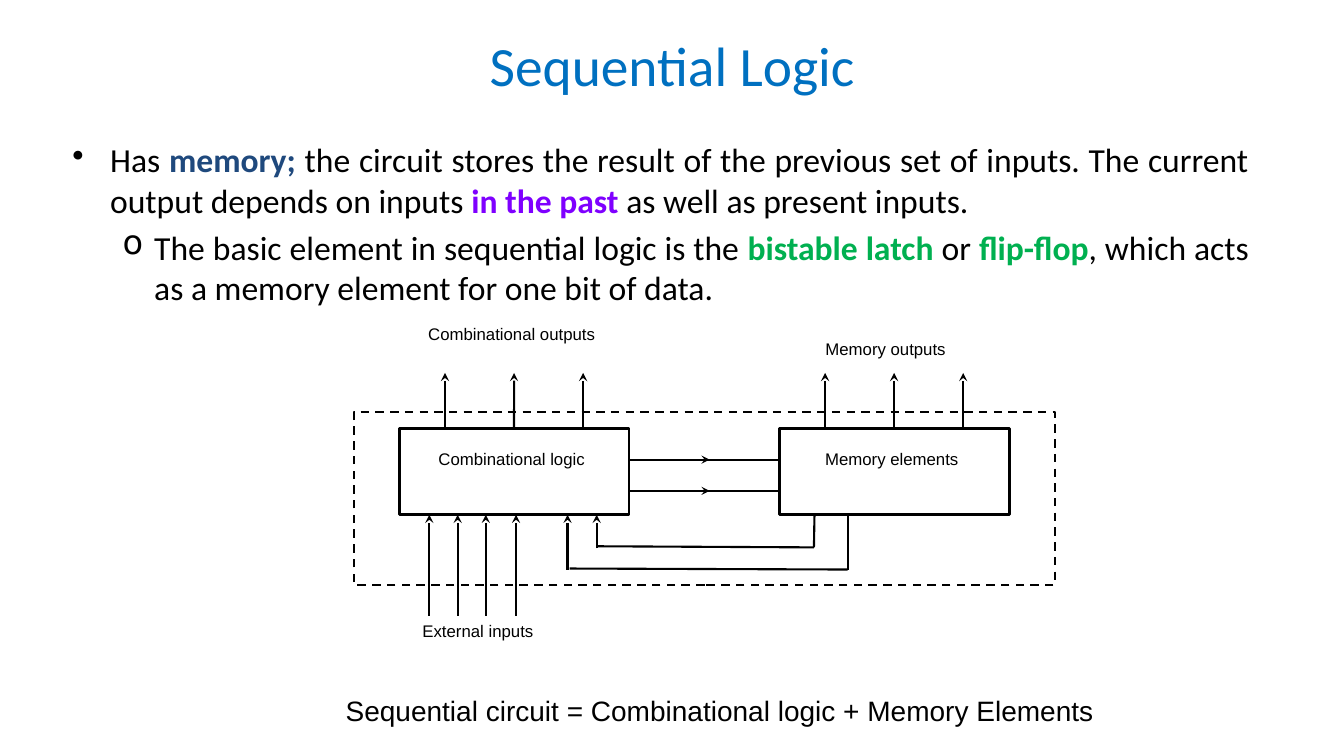
from dataclasses import dataclass

from lxml import etree
from pptx import Presentation
from pptx.dml.color import RGBColor
from pptx.enum.dml import MSO_LINE
from pptx.enum.shapes import MSO_CONNECTOR, MSO_SHAPE
from pptx.enum.text import MSO_ANCHOR, PP_ALIGN
from pptx.oxml.ns import qn
from pptx.util import Pt

STRAIGHT = MSO_CONNECTOR.STRAIGHT
RECTANGLE = MSO_SHAPE.RECTANGLE
DASH = MSO_LINE.DASH
TOP, MIDDLE = MSO_ANCHOR.TOP, MSO_ANCHOR.MIDDLE
LEFT, CENTER, JUSTIFY = PP_ALIGN.LEFT, PP_ALIGN.CENTER, PP_ALIGN.JUSTIFY
TOP_SITE = 0


@dataclass(frozen=True)
class Theme:
    ink: str = "000000"
    title: str = "0070C0"
    memory: str = "1F497D"
    past: str = "7F00FF"
    element: str = "00B050"
    body_font: str = "Calibri"
    diagram_font: str = "Arial"
    title_size: float = 39.6
    body_size: float = 24
    label_size: float = 12
    formula_size: float = 20
    box_line: float = 2
    wire_line: float = 1.5


THEME = Theme()

# Content: a span is (text, colour); coloured spans are bold.
TITLE = "Sequential Logic"
BULLETS = [
    ("•", 27, -27, [
        ("Has ", None),
        ("memory; ", THEME.memory),
        ("the circuit stores the result of the previous set of inputs. "
         "The current output depends on inputs ", None),
        ("in the past ", THEME.past),
        ("as well as present inputs. ", None),
    ]),
    ("o", 58.5, -22.5, [
        ("The basic element in sequential logic is the ", None),
        ("bistable latch ", THEME.element),
        ("or ", None),
        ("flip-flop", THEME.element),
        (", which acts as a memory element for one bit of data.", None),
    ]),
]
FORMULA = "Sequential circuit = Combinational logic + Memory Elements"
LABELS = [  # text, left, top, width, height
    ("Combinational logic ", 285.1, 316.8, 164.2, 43.9),
    ("Memory elements ", 556.6, 316.8, 164.2, 43.9),
    ("Combinational outputs ", 285.1, 227.5, 164.2, 43.9),
    ("Memory outputs ", 540, 238.3, 188.6, 25.9),
    ("External inputs ", 252.7, 439.9, 180.7, 25.9),
]

# Diagram geometry
BLOCK_LEFTS = (285.1, 556.6)
BLOCK_TOP, BLOCK_WIDTH, BLOCK_HEIGHT = 306, 164.2, 61.7
BLOCK_BOTTOM = BLOCK_TOP + BLOCK_HEIGHT
SYSTEM_FRAME = (252.7, 294.5, 501.1, 123.1)
OUTPUT_TIP, OUTPUT_GAP = 266.4, 49.3
LINK_LEVELS = (328.3, 350.6)
LINK_HEAD, LINK_OVERLAP = 506.9, 8
INPUT_XS, INPUT_START = (306.7, 326.9, 347, 368.6), 439.9
FEEDBACKS = [  # arrow x, arrow start, run start, run end, drop x at block
    ((405.4, 406.8), (406.8, 406.1), (605.5, 406.8), 605.5),
    ((426.2, 391.7), (426.2, 390.2), (581.4, 391), 581.8),
]


def color(value):
    return RGBColor.from_string(value)


def add_span(para, text, font, size, ink=THEME.ink, bold=False):
    span = para.add_run()
    span.text = text
    span.font.name = font
    span.font.size = Pt(size)
    span.font.bold = bold
    span.font.color.rgb = color(ink)


def add_text_box(page, bounds, anchor=TOP):
    box = page.shapes.add_textbox(*map(Pt, bounds))
    box.text_frame.word_wrap = True
    box.text_frame.vertical_anchor = anchor
    return box.text_frame


def add_line_of_text(page, text, bounds, font, size, ink=THEME.ink,
                     align=CENTER, anchor=TOP):
    para = add_text_box(page, bounds, anchor).paragraphs[0]
    para.alignment = align
    add_span(para, text, font, size, ink)


def add_bullet(para, mark, margin, indent):
    properties = para._p.get_or_add_pPr()
    properties.set("marL", str(Pt(margin)))
    properties.set("indent", str(Pt(indent)))
    etree.SubElement(properties, qn("a:buChar")).set("char", mark)


def add_bullets(page):
    frame = add_text_box(page, (44.6, 95.8, 854.6, 356.4))
    for index, (mark, margin, indent, spans) in enumerate(BULLETS):
        para = frame.add_paragraph() if index else frame.paragraphs[0]
        add_bullet(para, mark, margin, indent)
        para.alignment = JUSTIFY
        if index:
            para.level = 1
            para.space_before = Pt(0.2 * THEME.body_size)
        for text, accent in spans:
            add_span(para, text, THEME.body_font, THEME.body_size,
                     accent or THEME.ink, accent is not None)


def add_outline(page, bounds, width):
    box = page.shapes.add_shape(RECTANGLE, *map(Pt, bounds))
    box.shadow.inherit = False
    box.fill.background()
    box.line.color.rgb = color(THEME.ink)
    box.line.width = Pt(width)
    return box


def add_wire(page, start, end, arrow=False):
    wire = page.shapes.add_connector(STRAIGHT, *map(Pt, (*start, *end)))
    wire.line.color.rgb = color(THEME.ink)
    wire.line.width = Pt(THEME.wire_line)
    etree.SubElement(wire._element.spPr, qn("a:effectLst"))
    if arrow:
        head = etree.SubElement(wire.line._get_or_add_ln(), qn("a:tailEnd"))
        head.set("type", "stealth")
    return wire


def add_block(page, left):
    """Draw a logic block with its three output arrows."""
    block = add_outline(page, (left, BLOCK_TOP, BLOCK_WIDTH, BLOCK_HEIGHT),
                        THEME.box_line)
    for step in (-1, 0, 1):
        x = left + BLOCK_WIDTH / 2 + step * OUTPUT_GAP
        wire = add_wire(page, (x, BLOCK_TOP), (x, OUTPUT_TIP), arrow=True)
        if step == 0:
            wire.begin_connect(block, TOP_SITE)


def add_diagram(page):
    add_outline(page, SYSTEM_FRAME, THEME.wire_line).line.dash_style = DASH
    for left in BLOCK_LEFTS:
        add_block(page, left)
    for y in LINK_LEVELS:
        add_wire(page, (BLOCK_LEFTS[0] + BLOCK_WIDTH, y), (LINK_HEAD, y), arrow=True)
        add_wire(page, (LINK_HEAD - LINK_OVERLAP, y), (BLOCK_LEFTS[1], y))
    for x in INPUT_XS:
        add_wire(page, (x, INPUT_START), (x, BLOCK_BOTTOM), arrow=True)
    for arrow_start, run_start, run_end, drop_x in FEEDBACKS:
        add_wire(page, arrow_start, (arrow_start[0], BLOCK_BOTTOM), arrow=True)
        add_wire(page, run_start, run_end)
        add_wire(page, (drop_x, BLOCK_BOTTOM), run_end)
    for text, *bounds in LABELS:
        add_line_of_text(page, text, bounds, THEME.diagram_font, THEME.label_size)


def main():
    deck = Presentation()
    deck.slide_width, deck.slide_height = Pt(960), Pt(540)
    page = deck.slides.add_slide(deck.slide_layouts[6])
    add_line_of_text(page, TITLE, (156.2, 21.6, 648, 49), THEME.body_font,
                     THEME.title_size, THEME.title, anchor=MIDDLE)
    add_bullets(page)
    add_diagram(page)
    add_line_of_text(page, FORMULA, (239.8, 491.8, 552.2, 30.2),
                     THEME.diagram_font, THEME.formula_size, align=LEFT)
    deck.save("out.pptx")


if __name__ == "__main__":
    main()
